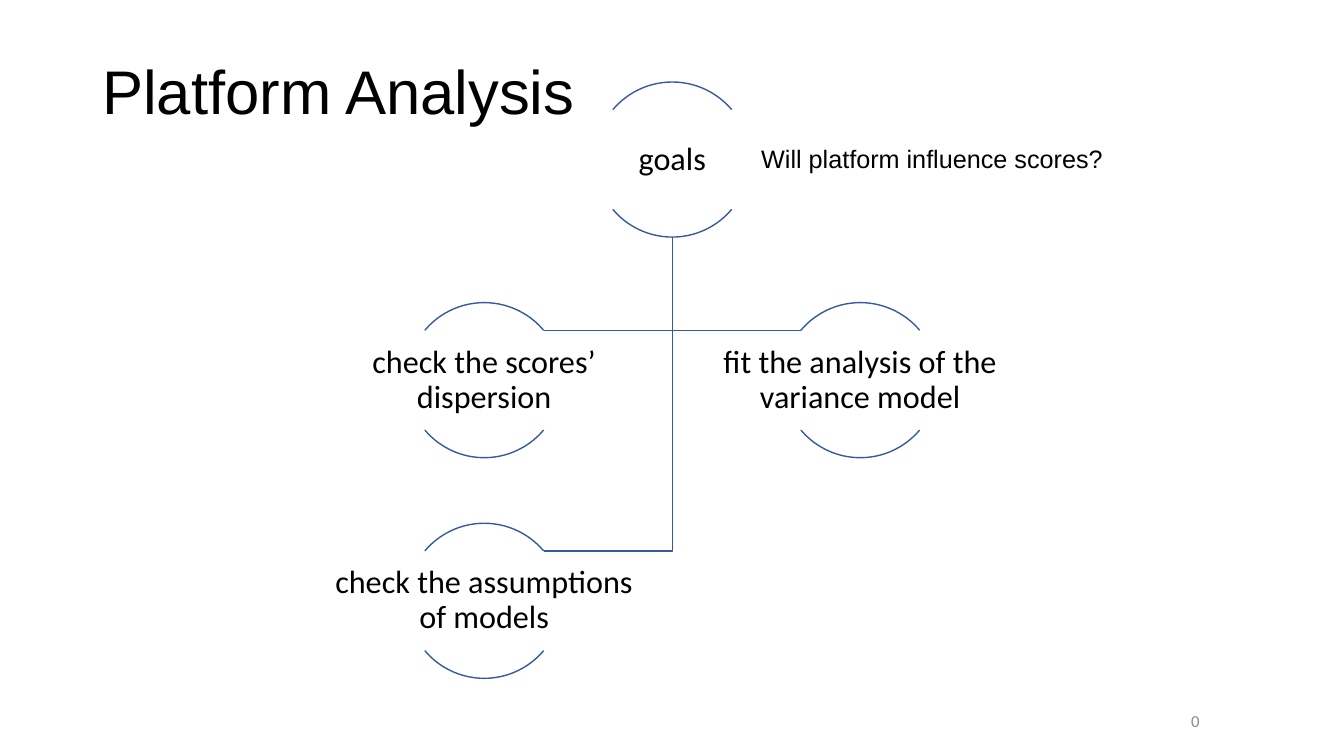
from dataclasses import dataclass
from math import cos, radians, sin

from pptx import Presentation
from pptx import util as u
from pptx.dml.color import RGBColor
from pptx.enum import shapes, text

BLUE, BLACK, GRAY = "365B9D", "000000", "8C8C8C"
CENTER_X, TOP_Y = 480.2, 113.95
STEP_X, STEP_Y = 134.3, 157.6
RADIUS = 55.4
LABEL_W, LABEL_H = 221.8, 71
ARC_EDGE = radians(40)
ARCS = ((132, 192), (24, 84))


@dataclass(frozen=True)
class Node:
    label: str
    side: int
    row: int

    @property
    def x(self) -> float:
        return CENTER_X + self.side * STEP_X

    @property
    def y(self) -> float:
        return TOP_Y + self.row * STEP_Y


GOAL = Node("goals", 0, 0)
STEPS = (
    Node("check the scores’ dispersion", -1, 1),
    Node("fit the analysis of the variance model", 1, 1),
    Node("check the assumptions of models", -1, 2),
)


def color(value: str) -> RGBColor:
    return RGBColor.from_string(value)


def style_outline(sp) -> None:
    sp.shadow.inherit = False
    sp.fill.background()
    sp.line.color.rgb = color(BLUE)
    sp.line.width = u.Pt(1)


def add_text(s, content: str, x: float, y: float, w: float, h: float, *,
             size: float, font: str = "Calibri", fill: str = BLACK,
             align=text.PP_ALIGN.LEFT, anchor=text.MSO_ANCHOR.MIDDLE,
             spacing: float = 1.0, inset: float | None = None,
             auto_size=text.MSO_AUTO_SIZE.NONE) -> None:
    tf = s.shapes.add_textbox(u.Pt(x), u.Pt(y), u.Pt(w), u.Pt(h)).text_frame
    tf.word_wrap = True
    tf.auto_size = auto_size
    tf.vertical_anchor = anchor
    if inset is not None:
        tf.margin_left = tf.margin_right = u.Pt(inset)
        tf.margin_top = tf.margin_bottom = u.Pt(inset)
    p = tf.paragraphs[0]
    p.alignment = align
    p.line_spacing = spacing
    r = p.add_run()
    r.text = content
    r.font.size = u.Pt(size)
    r.font.name = font
    r.font.color.rgb = color(fill)


def add_branch(s, node: Node) -> None:
    end_x = node.x - node.side * RADIUS * cos(ARC_EDGE)
    end_y = node.y - RADIUS * sin(ARC_EDGE)
    builder = s.shapes.build_freeform(u.Pt(GOAL.x), u.Pt(GOAL.y + RADIUS))
    builder.add_line_segments(
        [(u.Pt(GOAL.x), u.Pt(end_y)), (u.Pt(end_x), u.Pt(end_y))], close=False)
    style_outline(builder.convert_to_shape())


def add_node(s, node: Node) -> None:
    for start, end in ARCS:
        sp = s.shapes.add_shape(
            shapes.MSO_SHAPE.ARC, u.Pt(node.x - RADIUS), u.Pt(node.y - RADIUS),
            u.Pt(2 * RADIUS), u.Pt(2 * RADIUS))
        sp.adjustments[0] = start
        sp.adjustments[1] = end
        style_outline(sp)
    add_text(s, node.label, node.x - LABEL_W / 2, node.y - LABEL_H / 2,
             LABEL_W, LABEL_H, size=23, align=text.PP_ALIGN.CENTER,
             spacing=0.9, inset=1.15)


def main() -> None:
    prs = Presentation()
    prs.slide_width, prs.slide_height = u.Pt(960), u.Pt(540)
    s = prs.slides.add_slide(prs.slide_layouts[6])
    for node in reversed(STEPS):
        add_branch(s, node)
    for node in (GOAL, *STEPS):
        add_node(s, node)
    add_text(s, "0", 678, 500.5, 186, 28.75, size=12, fill=GRAY,
             align=text.PP_ALIGN.RIGHT)
    add_text(s, "Platform Analysis", 66, 28.75, 369.4, 78, size=44,
             font="Arial", spacing=0.9)
    add_text(s, "Will platform influence scores?", 536.6, 98.8, 480, 29,
             size=18, font="Arial", anchor=text.MSO_ANCHOR.TOP,
             auto_size=text.MSO_AUTO_SIZE.SHAPE_TO_FIT_TEXT)
    prs.save("out.pptx")


if __name__ == "__main__":
    main()
